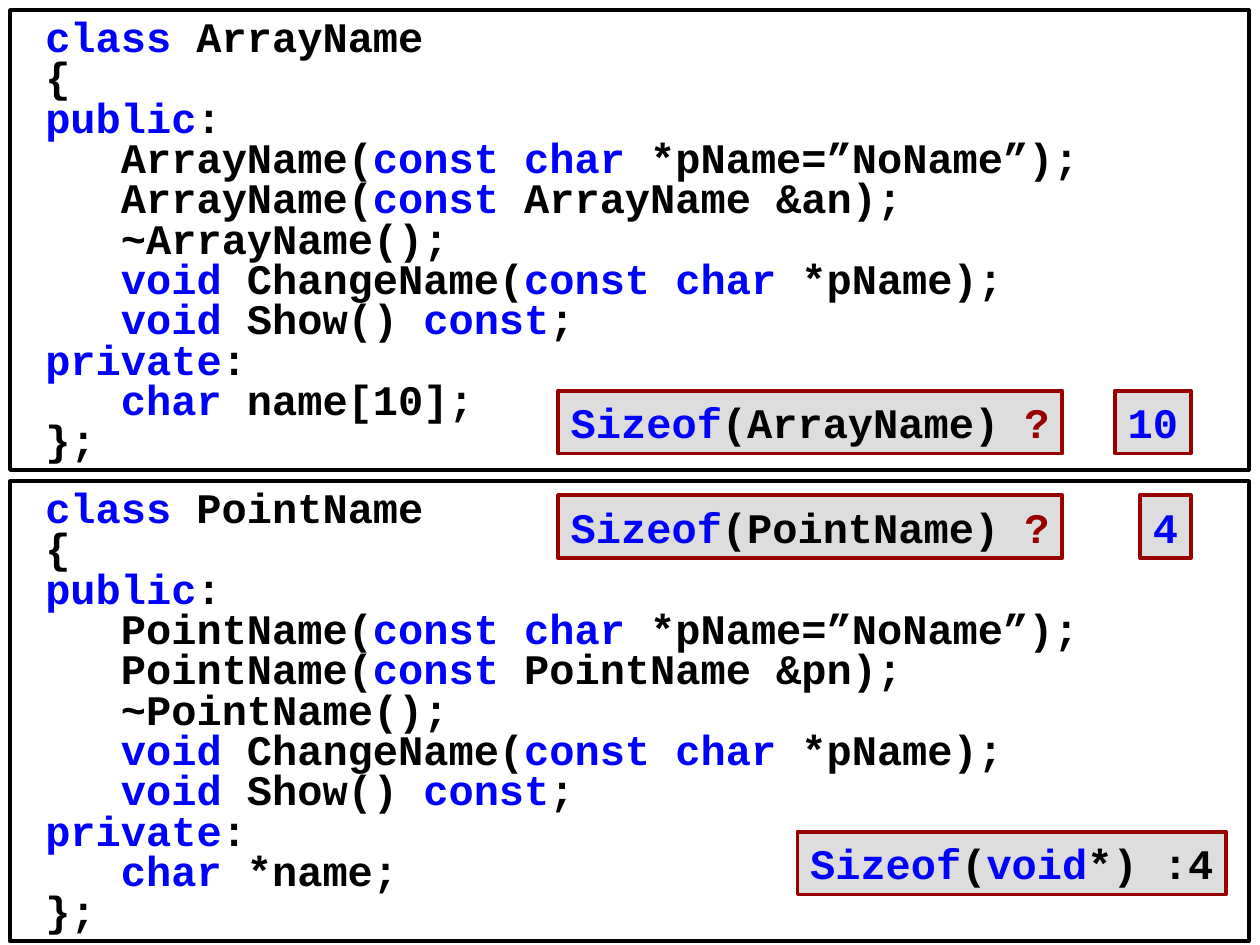
from dataclasses import dataclass

from pptx import Presentation, util as u
from pptx.dml.color import RGBColor
from pptx.enum import shapes, text


@dataclass(frozen=True)
class Theme:
    font: str = "Courier New"
    size: float = 24
    rule: float = 2.25
    plain: str = "000000"
    key: str = "0000FF"
    alert: str = "990000"
    tint: str = "DDDDDD"


THEME = Theme()
WIDE, HIGH = 10, 7.5
EDGE = 0.08             # slide margin and panel inset
PANEL = 3.65            # panel height
PITCH = 3.74            # from one panel top to the next
TAG = 0.5               # tag height
ASK = 4.43              # left of the question tags
END = 9.45              # right of the answer tags
ROWS = (3.1, 3.93)      # tops of the tags beside the class ends


def color(code):
    return RGBColor.from_string(code)


def add_box(slide, left, top, width, height, line, fill=None):
    box = slide.shapes.add_shape(
        shapes.MSO_SHAPE.RECTANGLE,
        *(u.Inches(n) for n in (left, top, width, height)))
    box.shadow.inherit = False
    box.line.color.rgb = color(line)
    box.line.width = u.Pt(THEME.rule)
    if fill:
        box.fill.solid()
        box.fill.fore_color.rgb = color(fill)
    else:
        box.fill.background()
    return box


def set_frame(box, side, ends, anchor, wrap):
    frame = box.text_frame
    frame.margin_left = frame.margin_right = u.Inches(side)
    frame.margin_top = frame.margin_bottom = u.Inches(ends)
    frame.vertical_anchor = anchor
    frame.word_wrap = wrap
    return frame


def add_runs(para, line):
    """Split the line at bars: every second part is a keyword."""
    for index, part in enumerate(line.split("|")):
        if not part:
            continue
        run = para.add_run()
        run.text = part
        font = run.font
        font.name, font.size, font.bold = THEME.font, u.Pt(THEME.size), True
        tone = THEME.key if index % 2 else THEME.plain
        font.color.rgb = color(THEME.alert if part == " ?" else tone)


def list_code(name, arg, field):
    return [
        f" |class| {name}",
        " {",
        " |public|:",
        f"    {name}(|const char| *pName=”NoName”);",
        f"    {name}(|const| {name} &{arg});",
        f"    ~{name}();",
        "    |void| ChangeName(|const char| *pName);",
        "    |void| Show() |const|;",
        " |private|:",
        f"    |char| {field};",
        " };",
    ]


def add_panel(slide, row, lines):
    box = add_box(slide, EDGE, EDGE + row * PITCH, WIDE - 2 * EDGE - 0.01,
                  PANEL, THEME.plain)
    frame = set_frame(box, EDGE, EDGE, text.MSO_ANCHOR.TOP, True)
    for index, line in enumerate(lines):
        para = frame.add_paragraph() if index else frame.paragraphs[0]
        para.alignment = text.PP_ALIGN.LEFT
        para.line_spacing = 0.8
        add_runs(para, line)


def add_tag(slide, left, top, width, line):
    box = add_box(slide, left, top, width, TAG, THEME.alert, THEME.tint)
    frame = set_frame(box, 0.1, 0.05, text.MSO_ANCHOR.MIDDLE, False)
    para = frame.paragraphs[0]
    para.alignment = text.PP_ALIGN.CENTER
    add_runs(para, line)


def main():
    deck = Presentation()
    deck.slide_width, deck.slide_height = u.Inches(WIDE), u.Inches(HIGH)
    slide = deck.slides.add_slide(deck.slide_layouts[6])
    parts = (("ArrayName", "an", "name[10]"), ("PointName", "pn", "*name"))
    for row, part in enumerate(parts):
        add_panel(slide, row, list_code(*part))
    for top, part, size, width in zip(ROWS, parts, ("10", "4"), (0.6, 0.4)):
        add_tag(slide, ASK, top, 4, f"|Sizeof|({part[0]})|| ?")
        add_tag(slide, END - width, top, width, f"|{size}")
    add_tag(slide, 6.33, 6.6, 3.4, "|Sizeof|(|void|*) :4")
    deck.save("out.pptx")


if __name__ == "__main__":
    main()
